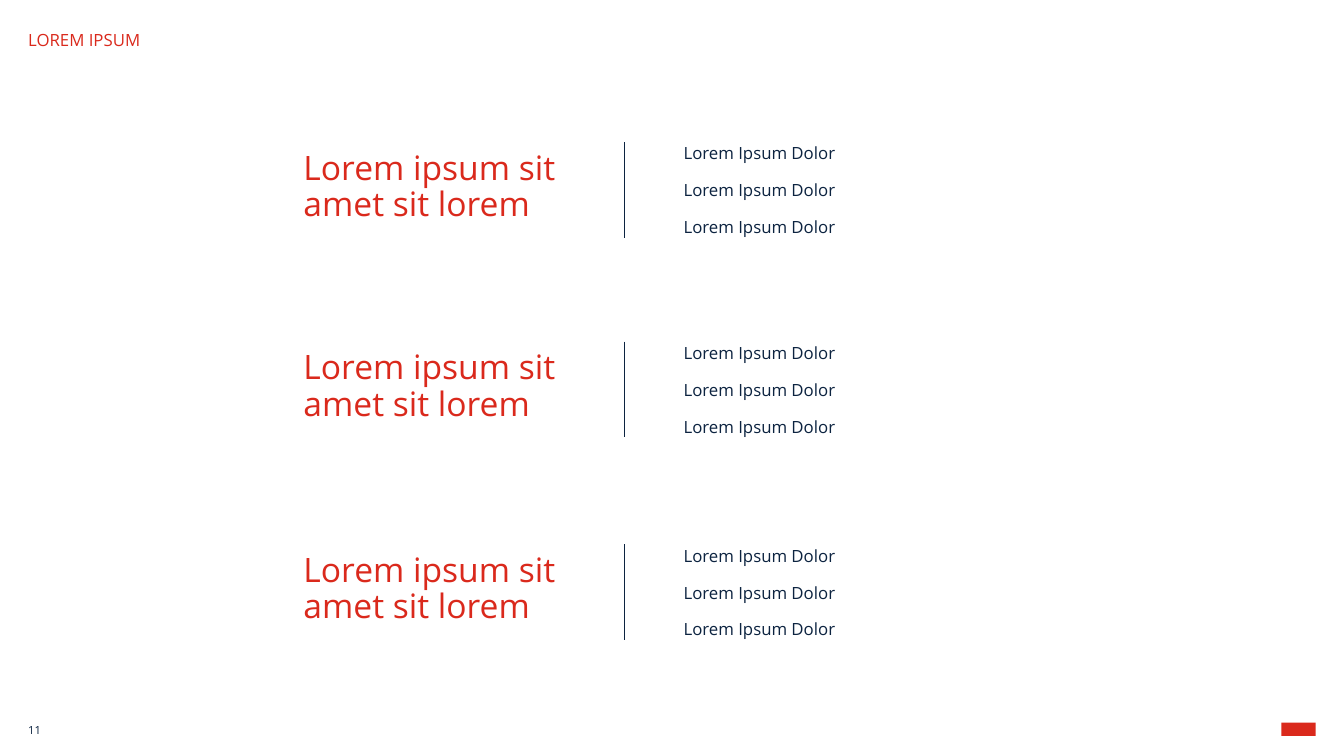
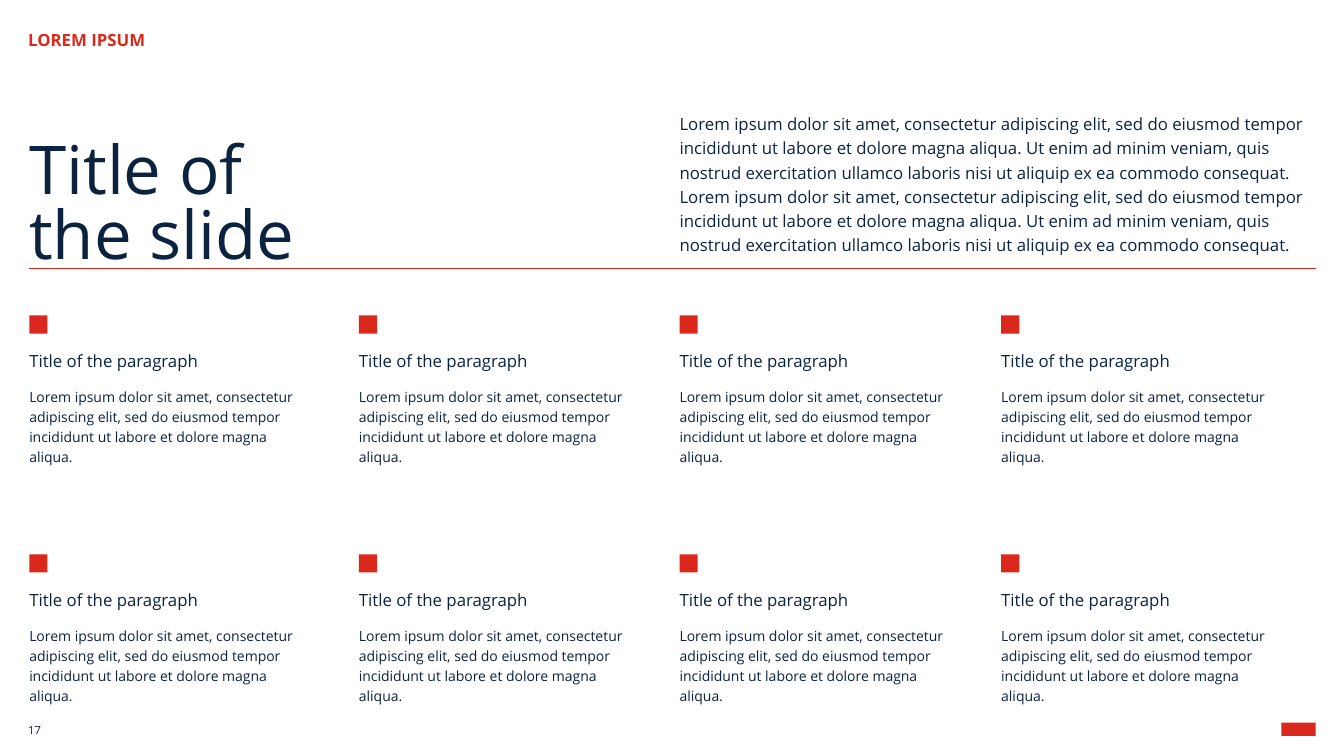
"""Build two red and navy slides: a three-row list and a titled paragraph grid."""
from pptx import Presentation
from pptx.dml.color import RGBColor
from pptx.enum.shapes import MSO_CONNECTOR as Connector, MSO_SHAPE as Shape
from pptx.enum.text import MSO_ANCHOR as Anchor, MSO_AUTO_SIZE as AutoSize
from pptx.util import Inches, Pt
from lxml import etree

RED, NAVY = "DA291C", "0C2340"
FONT = "Open Sans"
WIDTH, HEIGHT = 13.33, 7.5
MARGIN, RIGHT_EDGE = 0.29, 13.05
rgb = RGBColor.from_string
LOREM = ("Lorem ipsum dolor sit amet, consectetur adipiscing elit, "
         "sed do eiusmod tempor incididunt ut labore et dolore magna aliqua.")
INTRO = LOREM + (" Ut enim ad minim veniam, quis nostrud exercitation ullamco "
                 "laboris nisi ut aliquip ex ea commodo consequat.")


def add_text(slide, box, text, size, color=NAVY, bold=False, anchor=Anchor.TOP,
             spacing=None, after=None, inset_top=0, grow=True):
    frame = slide.shapes.add_textbox(*map(Inches, box)).text_frame
    frame.word_wrap = True
    frame.auto_size = AutoSize.SHAPE_TO_FIT_TEXT if grow else AutoSize.NONE
    frame.margin_left = frame.margin_right = frame.margin_bottom = 0
    frame.margin_top = Inches(inset_top)
    frame.vertical_anchor = anchor
    frame.text = text
    for paragraph in frame.paragraphs:
        paragraph.line_spacing = spacing
        paragraph.space_after = after
        for run in paragraph.runs:
            run.font.name, run.font.size = FONT, Pt(size)
            run.font.bold = bold
            run.font.color.rgb = rgb(color)


def add_line(slide, start, end, color, weight):
    line = slide.shapes.add_connector(Connector.STRAIGHT, *map(Inches, start + end))
    line.line.color.rgb = rgb(color)
    line.line.width = Pt(weight)
    properties = line._element.spPr
    etree.SubElement(properties, properties.tag.replace("}spPr", "}effectLst").replace(
        "presentationml", "drawingml"))


deck = Presentation()
deck.slide_width, deck.slide_height = Inches(WIDTH), Inches(HEIGHT)
blank = deck.slide_layouts[6]
list_slide, grid_slide = deck.slides.add_slide(blank), deck.slides.add_slide(blank)
squares = []

for slide, page, bold in ((list_slide, "11", False), (grid_slide, "17", True)):
    add_text(slide, (0.28, 7.13, 0.54, 0.22), page, 8, anchor=Anchor.MIDDLE, grow=False)
    add_text(slide, (0.28, 0.26, 2.23, 0.22), "LOREM IPSUM", 12, RED, bold, spacing=Pt(16.8))
    squares.append((slide, (12.71, 7.17, 0.34, 0.13)))

for top in (1.41, 3.39, 5.4):
    add_text(list_slide, (3.01, top + 0.09, 2.72, 0.73),
             "Lorem ipsum sit amet sit lorem", 24, RED, spacing=0.9)
    add_text(list_slide, (6.78, top + 0.01, 4.39, 0.94),
             "\n".join(["Lorem Ipsum Dolor"] * 3), 12, after=Pt(12))
    add_line(list_slide, (6.19, top), (6.19, top + 0.95), NAVY, 0.75)

add_text(grid_slide, (6.74, 0.85, 6.3, 1.68), f"{INTRO} {INTRO}", 12,
         anchor=Anchor.BOTTOM, spacing=1.2)
add_text(grid_slide, (MARGIN, 1.41, 5.56, 1.29), "Title of\vthe slide", 48,
         anchor=Anchor.BOTTOM, spacing=0.8, grow=False)
add_line(grid_slide, (MARGIN, 2.66), (RIGHT_EDGE, 2.66), RED, 0.5)

for top in (3.13, 5.5):
    for left in (MARGIN, 3.56, 6.74, 9.93):
        squares.append((grid_slide, (left, top, 0.18, 0.18)))
        add_text(grid_slide, (left, top + 0.31, 2.71, 0.4), "Title of the paragraph", 12,
                 inset_top=0.04, grow=False)
        add_text(grid_slide, (left, top + 0.65, 2.72, 0.83), LOREM, 10,
                 spacing=1.2, after=Pt(12), inset_top=0.04)

for slide, box in squares:
    square = slide.shapes.add_shape(Shape.RECTANGLE, *map(Inches, box))
    square.shadow.inherit = False
    square.fill.solid()
    square.fill.fore_color.rgb = rgb(RED)
    square.line.fill.background()

deck.save("out.pptx")
